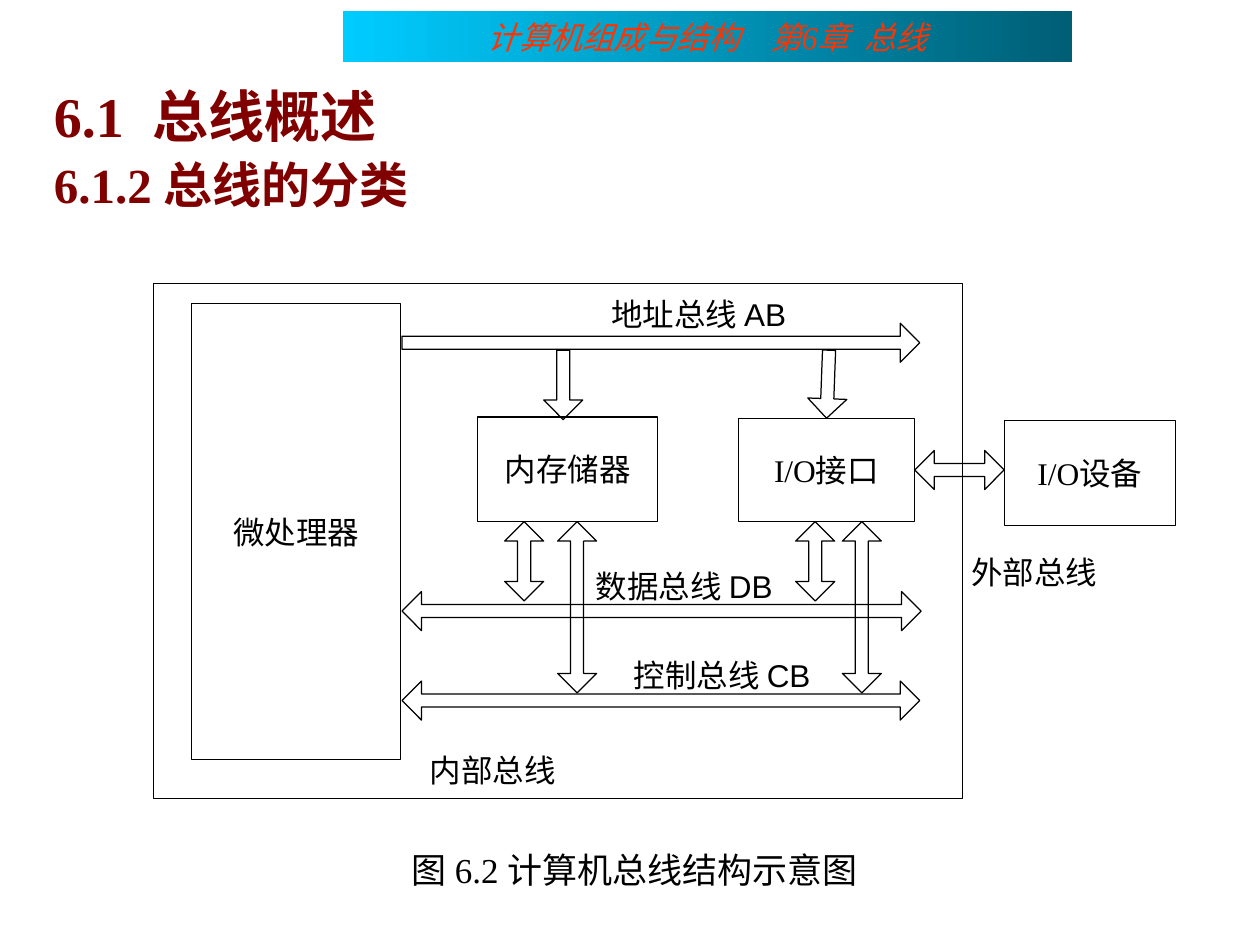
"""Build the slide on bus types: headings, block diagram and caption."""
from math import hypot
from lxml.etree import SubElement
from pptx import Presentation
from pptx.dml.color import RGBColor
from pptx.enum.shapes import MSO_SHAPE
from pptx.enum.text import MSO_ANCHOR, PP_ALIGN
from pptx.oxml.ns import qn
from pptx.util import Inches, Pt

COLS, ROWS, CELL = 100, 75, Inches(0.1)
THEME = dict(
    ink="000000", paper="FFFFFF", head="800000", title="FF3300",
    light="00CCFF", dark="005E75",
    serif="Times New Roman", sans="Arial", han="Noto Sans CJK SC",
    body=18, cap=20, sub=28, main=32, line=0.71, inset=1,
)

# A number between two pieces of text widens the space there, in points.
BANNER = ((27.2, 0.9, 57.9, 4), ["计算机组成与结构", 13.5, "第6章", 4.5, "总线"])
HEADS = (3.3, 6.7, 91.7, 13.5)
MAIN = ["6.1", 8, "总线概述"]
SUB = ["6.1.2 总线的分类"]
CAPTION = ((31.1, 67.4, 38.6, 3.6), ["图 6.2 计算机总线结构示意图"])

BOXES = [
    ((12.2, 22.5, 64.2, 40.9), None),
    ((15.2, 24.1, 16.6, 36.2), "微处理器"),
    ((37.9, 33.1, 14.3, 8.3), "内存储器"),
    ((58.6, 33.2, 14, 8.2), "I/O接口"),
    ((79.7, 33.4, 13.6, 8.3), "I/O设备"),
]
LABELS = [
    (48.5, 23.4, "地址总线 AB"),
    (47.3, 45, "数据总线 DB"),
    (50.3, 52.1, "控制总线 CB"),
    (34.1, 59.6, "内部总线"),
    (77.1, 43.9, "外部总线"),
]
SINGLE = [
    ((31.9, 27.2), (73, 27.2)),
    ((44.7, 27.8), (44.7, 33.3)),
    ((65.8, 27.8), (65.6, 33.2)),
]
DOUBLE = [
    ((31.9, 48.5), (73.1, 48.5)),
    ((31.9, 55.6), (73, 55.6)),
    ((72.6, 37.3), (79.7, 37.3)),
] + [((x, 41.4), (x, y)) for x, y in
     ((41.6, 47.7), (45.8, 55), (64.7, 47.7), (68.4, 55))]
TIP, SHAFT = 1.55, 0.52


def hue(name):
    return RGBColor.from_string(THEME[name])


def cells(*spans):
    return [round(span * CELL) for span in spans]


def write(para, parts, size="body", tint="ink", face="serif",
          bold=False, slant=False, align=PP_ALIGN.LEFT, lead=None, above=0):
    para.alignment = align
    para.line_spacing = lead
    if above:
        para.space_before = Pt(above)
    for part in parts:
        wide = not isinstance(part, str)
        run = para.add_run()
        run.text = " " if wide else part
        font = run.font
        font.name, font.size = THEME[face], Pt(THEME[size])
        font.bold, font.italic = bold, slant
        font.color.rgb = hue(tint)
        props = run._r.get_or_add_rPr()
        SubElement(props, qn("a:ea")).set("typeface", THEME["han"])
        if wide:
            props.set("spc", str(round(part * 100)))


def frame(shape, inset=0, anchor=MSO_ANCHOR.TOP):
    text = shape.text_frame
    text.word_wrap = True
    text.vertical_anchor = anchor
    text.margin_left = text.margin_right = cells(inset)[0]
    text.margin_top = text.margin_bottom = cells(inset / 2)[0]
    return text


def style(shape):
    shape.shadow.inherit = False
    shape.fill.background()
    shape.line.color.rgb = hue("ink")
    shape.line.width = Pt(THEME["line"])


def block(shapes, area):
    shape = shapes.add_shape(MSO_SHAPE.RECTANGLE, *cells(*area))
    style(shape)
    return shape


def arrow(shapes, start, end, both):
    (x1, y1), (x2, y2) = start, end
    span = hypot(x2 - x1, y2 - y1)
    ux, uy = (x2 - x1) / span, (y2 - y1) / span
    neck = span - TIP
    side = [(neck, SHAFT), (neck, TIP)]
    tail = [(TIP, TIP), (TIP, SHAFT)] if both else [(0, SHAFT)]
    half = ([(0, 0)] if both else []) + tail + side
    ring = half + [(span, 0)] + [(a, -b) for a, b in reversed(half) if b]
    dots = [cells(x1 + a * ux - b * uy, y1 + a * uy + b * ux) for a, b in ring]
    pen = shapes.build_freeform(*dots[0], scale=1.0)
    pen.add_line_segments(dots[1:], close=True)
    style(pen.convert_to_shape())


def main():
    deck = Presentation()
    deck.slide_width, deck.slide_height = cells(COLS, ROWS)
    shapes = deck.slides.add_slide(deck.slide_layouts[6]).shapes
    inset = THEME["inset"]

    area, parts = BANNER
    band = block(shapes, area)
    band.line.fill.background()
    band.fill.gradient()
    band.fill.gradient_angle = 0
    for stop, name in zip(band.fill.gradient_stops, ("light", "dark")):
        stop.color.rgb = hue(name)
    write(frame(band, inset, MSO_ANCHOR.MIDDLE).paragraphs[0], parts,
          tint="title", slant=True, align=PP_ALIGN.CENTER)

    text = frame(shapes.add_textbox(*cells(*HEADS)), inset)
    write(text.paragraphs[0], MAIN, size="main", tint="head", bold=True, lead=0.88)
    write(text.add_paragraph(), SUB, size="sub", tint="head", bold=True,
          lead=0.88, above=7)

    for area, label in BOXES:
        shape = block(shapes, area)
        if label:
            write(frame(shape, anchor=MSO_ANCHOR.MIDDLE).paragraphs[0], [label],
                  align=PP_ALIGN.CENTER)
    for group, both in ((SINGLE, False), (DOUBLE, True)):
        for start, end in group:
            arrow(shapes, start, end, both)
    for left, top, label in LABELS:
        width = 15 if " " in label else 10.5
        box = shapes.add_textbox(*cells(left, top, width, 3))
        write(frame(box).paragraphs[0], [label], face="sans")

    area, parts = CAPTION
    base = block(shapes, area)
    base.fill.solid()
    base.fill.fore_color.rgb = base.line.color.rgb = hue("paper")
    write(frame(base, inset).paragraphs[0], parts, size="cap",
          align=PP_ALIGN.CENTER, lead=0.83)
    deck.save("out.pptx")


if __name__ == "__main__":
    main()
